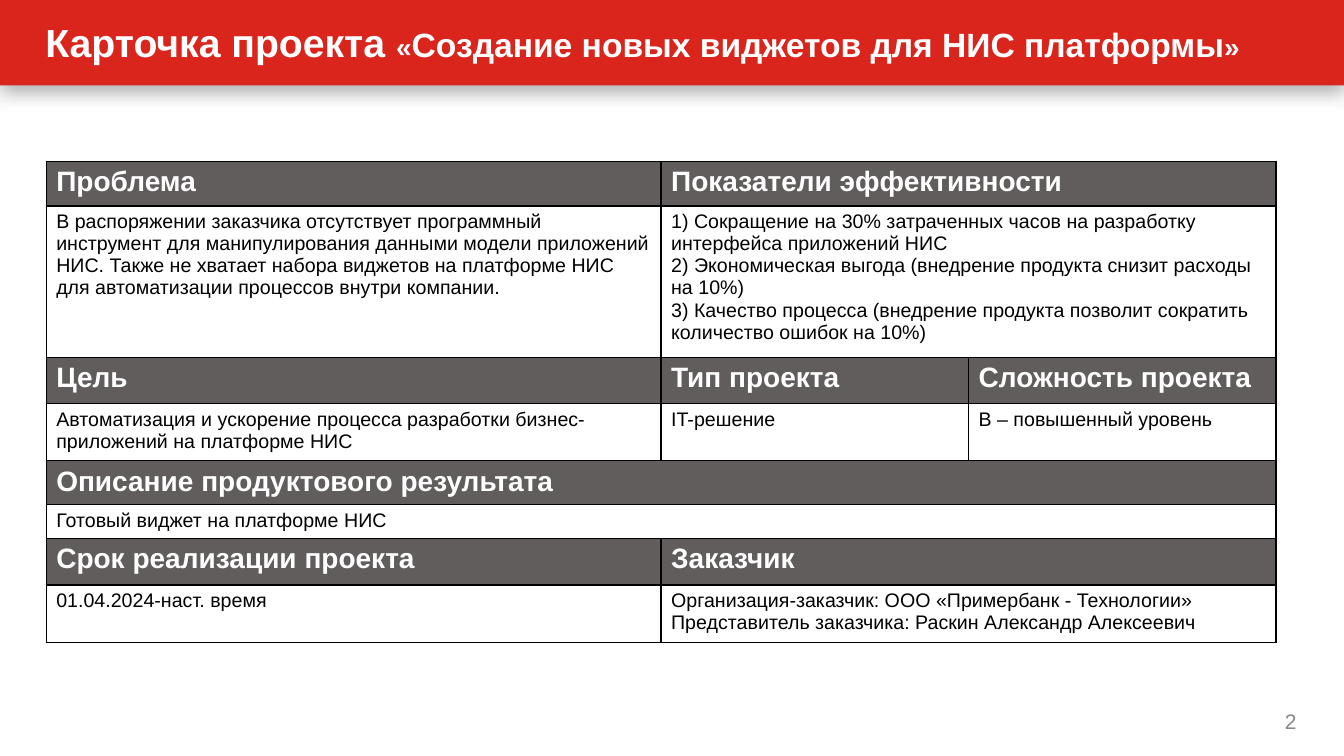
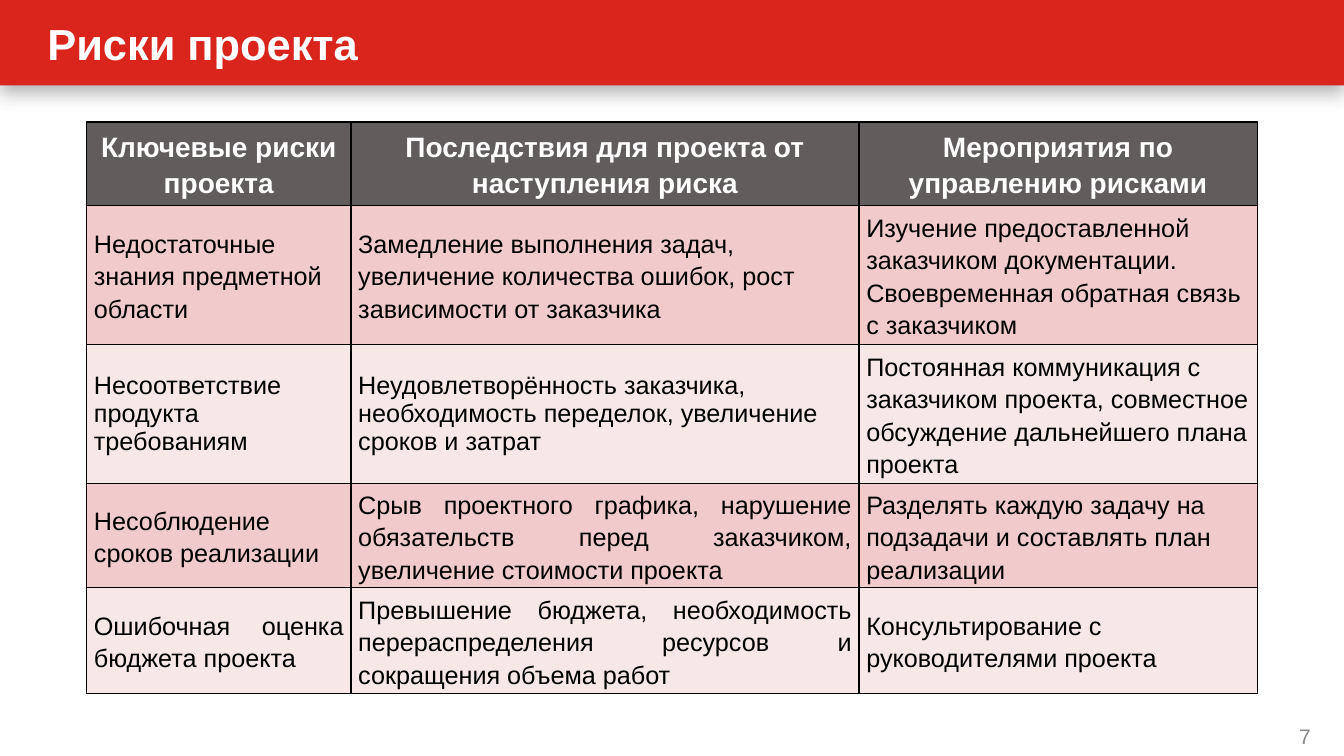
from pptx import Presentation
from pptx.dml.color import RGBColor
from pptx.enum.shapes import MSO_SHAPE as SHAPE
from pptx.enum.text import MSO_ANCHOR as ANCHOR, PP_ALIGN as ALIGN
from pptx.oxml import parse_xml
from pptx.oxml.ns import nsdecls
from pptx.util import Pt

FONT = "Arial"
RED, GREY, WHITE, BLACK = "DA251D", "605D5C", "FFFFFF", "000000"
PINKS = ("F1CBCB", "F8E7E7")
NUMBER_GREY = "888888"
WIDTH, HEIGHT, BAND_HEIGHT = 960, 540, 61

CARD_TITLE = [("Карточка проекта ", 28), ("«", 20),
              ("Создание новых виджетов для НИС платформы", 24), ("»", 20)]
CARD_COLS = (439.2, 219.6, 219.6)
# Header and body rows alternate; None continues the cell on its left
CARD_ROWS = [
    (32, ("Проблема", "Показатели эффективности", None)),
    (101, ("В распоряжении заказчика отсутствует программный инструмент для "
           "манипулирования данными модели приложений НИС. Также не хватает набора "
           "виджетов на платформе НИС для автоматизации процессов внутри компании.",
           "1) Сокращение на 30% затраченных часов на разработку интерфейса "
           "приложений НИС\n"
           "2) Экономическая выгода (внедрение продукта снизит расходы на 10%)\n"
           "3) Качество процесса (внедрение продукта позволит сократить количество "
           "ошибок на 10%)", None)),
    (33, ("Цель", "Тип проекта", "Сложность проекта")),
    (39, ("Автоматизация и ускорение процесса разработки бизнес-приложений на "
          "платформе НИС", "IT-решение", "В – повышенный уровень")),
    (29, ("Описание продуктового результата", None, None)),
    (23, ("Готовый виджет на платформе НИС", None, None)),
    (33.5, ("Срок реализации проекта", "Заказчик", None)),
    (38.5, ("01.04.2024-наст. время",
            "Организация-заказчик: ООО «Примербанк - Технологии»\n"
            "Представитель заказчика: Раскин Александр Алексеевич", None)),
]

RISK_TITLE = [("Риски проекта", 31)]
RISK_COLS = (188.8, 362.9, 284.4)
RISK_HEADER = (59.5, ("Ключевые риски проекта",
                      "Последствия для проекта от наступления риска",
                      "Мероприятия по управлению рисками"))
# Height, texts, then alignment and line spacing of the first two columns
RISK_ROWS = [
    (92.5, ("Недостаточные знания предметной области",
            "Замедление выполнения задач, увеличение количества ошибок, рост "
            "зависимости от заказчика",
            "Изучение предоставленной заказчиком документации. Своевременная "
            "обратная связь с заказчиком"), ALIGN.LEFT, 1.15),
    (92.5, ("Несоответствие продукта требованиям",
            "Неудовлетворённость заказчика, необходимость переделок, увеличение "
            "сроков и затрат",
            "Постоянная коммуникация с заказчиком проекта, совместное обсуждение "
            "дальнейшего плана проекта"), ALIGN.LEFT, 1),
    (69, ("Несоблюдение сроков реализации",
          "Срыв проектного графика, нарушение обязательств перед заказчиком, "
          "увеличение стоимости проекта",
          "Разделять каждую задачу на подзадачи и составлять план реализации"),
     ALIGN.JUSTIFY, 1.15),
    (75.5, ("Ошибочная оценка бюджета проекта",
            "Превышение бюджета, необходимость перераспределения ресурсов и "
            "сокращения объема работ",
            "Консультирование с руководителями проекта"), ALIGN.JUSTIFY, 1.15),
]


def rgb(color):
    return RGBColor.from_string(color)


def add_run(p, text, size, color, bold=False):
    r = p.add_run()
    r.text = text
    r.font.name, r.font.size, r.font.bold = FONT, Pt(size), bold
    r.font.color.rgb = rgb(color)


def add_text(slide, left, top, width, height, runs, color, bold=False,
             align=ALIGN.LEFT):
    tf = slide.shapes.add_textbox(Pt(left), Pt(top), Pt(width), Pt(height)).text_frame
    tf.word_wrap = True
    tf.vertical_anchor = ANCHOR.MIDDLE
    tf.margin_left = tf.margin_right = Pt(9.4)
    tf.margin_top = tf.margin_bottom = Pt(4.3)
    p = tf.paragraphs[0]
    p.alignment = align
    for text, size in runs:
        add_run(p, text, size, color, bold)


def add_band(slide):
    sp = slide.shapes.add_shape(SHAPE.RECTANGLE, 0, 0, Pt(WIDTH), Pt(BAND_HEIGHT))
    sp.fill.solid()
    sp.fill.fore_color.rgb = rgb(RED)
    sp.line.fill.background()
    sp.shadow.inherit = False
    sp.element.spPr.remove(sp.element.spPr[-1])
    sp.element.spPr.append(parse_xml(
        f'<a:effectLst {nsdecls("a")}><a:outerShdw blurRad="{Pt(14)}" dist="{Pt(5)}" '
        f'dir="5400000" algn="t" rotWithShape="0"><a:srgbClr val="{BLACK}">'
        '<a:alpha val="31000"/></a:srgbClr></a:outerShdw></a:effectLst>'))


def add_slide(prs, title, title_box, number, number_pos):
    slide = prs.slides.add_slide(prs.slide_layouts[6])
    add_band(slide)
    add_text(slide, *title_box, title, WHITE, bold=True)
    add_text(slide, *number_pos, 60, 29, [(number, 15)], NUMBER_GREY,
             align=ALIGN.RIGHT)
    return slide


def add_grid(slide, left, top, cols, heights):
    """Add an unstyled table with the given column widths and row heights."""
    table = slide.shapes.add_table(len(heights), len(cols), Pt(left), Pt(top),
                                   Pt(sum(cols)), Pt(sum(heights))).table
    table.first_row = table.horz_banding = False
    for col, width in zip(table.columns, cols):
        col.width = Pt(width)
    for row, height in zip(table.rows, heights):
        row.height = Pt(height)
    return table


def style_cell(cell, fill, margin_x, margin_y, anchor):
    cell.margin_left = cell.margin_right = Pt(margin_x)
    cell.margin_top = cell.margin_bottom = Pt(margin_y)
    cell.vertical_anchor = anchor
    tc_pr = cell._tc.get_or_add_tcPr()
    for side in "LRTB":
        tc_pr.append(parse_xml(
            f'<a:ln{side} {nsdecls("a")} w="{Pt(1)}"><a:solidFill>'
            f'<a:srgbClr val="{BLACK}"/></a:solidFill></a:ln{side}>'))
    cell.fill.solid()
    cell.fill.fore_color.rgb = rgb(fill)


def write_cell(cell, text, size, color, bold, align=ALIGN.LEFT, spacing=1):
    tf = cell.text_frame
    for i, line in enumerate(text.split("\n")):
        p = tf.add_paragraph() if i else tf.paragraphs[0]
        p.alignment, p.line_spacing = align, float(spacing)
        add_run(p, line, size, color, bold)


def build_card(prs):
    slide = add_slide(prs, CARD_TITLE, (23, -4.3, 937, 69), "2", (875.5, 500.5))
    table = add_grid(slide, 33, 115.2, CARD_COLS, [h for h, _ in CARD_ROWS])
    for r, (_, texts) in enumerate(CARD_ROWS):
        is_header = r % 2 == 0
        fill, size, color = (GREY, 20, WHITE) if is_header else (WHITE, 14, BLACK)
        for c, text in enumerate(texts):
            cell = table.cell(r, c)
            style_cell(cell, fill, 7.2, 3.6, ANCHOR.TOP)
            if text is None:
                continue
            end = c
            while end + 1 < len(texts) and texts[end + 1] is None:
                end += 1
            if end > c:
                cell.merge(table.cell(r, end))
            write_cell(cell, text, size, color, is_header)


def build_risks(prs):
    slide = add_slide(prs, RISK_TITLE, (24.5, 0, 875.5, BAND_HEIGHT), "7",
                      (885.6, 511))
    heights = [RISK_HEADER[0]] + [row[0] for row in RISK_ROWS]
    table = add_grid(slide, 61.9, 87.2, RISK_COLS, heights)
    for c, text in enumerate(RISK_HEADER[1]):
        cell = table.cell(0, c)
        style_cell(cell, GREY, 5.2, 0, ANCHOR.MIDDLE)
        write_cell(cell, text, 20, WHITE, True, ALIGN.CENTER, 1.15)
    for r, (_, texts, align, spacing) in enumerate(RISK_ROWS):
        for c, text in enumerate(texts):
            cell = table.cell(r + 1, c)
            style_cell(cell, PINKS[r % 2], 5.2, 0, ANCHOR.MIDDLE)
            layout = (align, spacing) if c < 2 else (ALIGN.LEFT, 1.15)
            write_cell(cell, text, 18, BLACK, False, *layout)


def main():
    prs = Presentation()
    prs.slide_width, prs.slide_height = Pt(WIDTH), Pt(HEIGHT)
    build_card(prs)
    build_risks(prs)
    prs.save("out.pptx")


if __name__ == "__main__":
    main()
